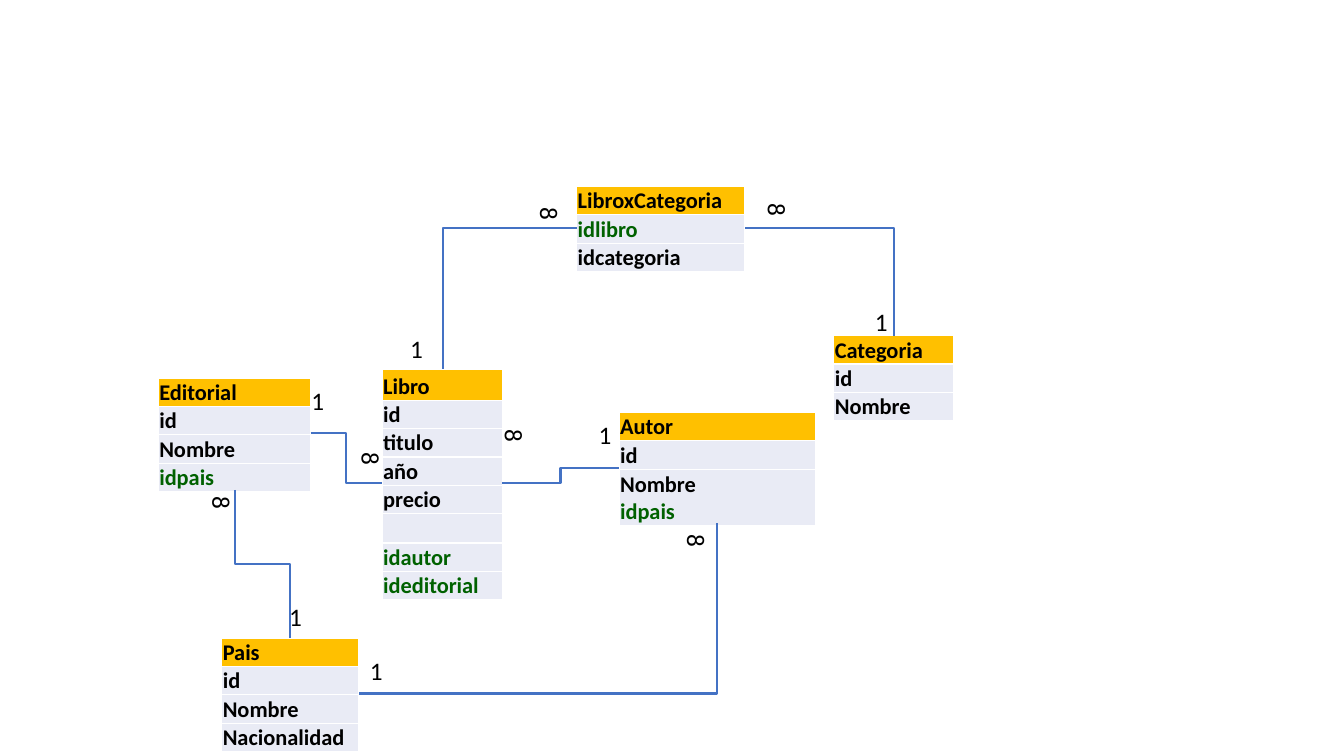
from dataclasses import dataclass

from lxml import etree
from pptx import Presentation
from pptx.dml.color import RGBColor
from pptx.enum.shapes import MSO_CONNECTOR
from pptx.enum.text import MSO_ANCHOR, MSO_AUTO_SIZE
from pptx.oxml.ns import qn
from pptx.util import Pt

ELBOW = MSO_CONNECTOR.ELBOW
BOTTOM = MSO_ANCHOR.BOTTOM
GROW = MSO_AUTO_SIZE.SHAPE_TO_FIT_TEXT
EMU_PER_PX = 9144  # 100 px to the inch
ROW_HEIGHT = 28
CELL_FORMAT = {"margin_left": 1, "margin_right": 1, "margin_top": 1, "margin_bottom": 0}


@dataclass(frozen=True)
class Theme:
    font: str = "Calibri"
    field_size: int = 16
    mark_size: int = 18
    line_width: float = 1.5
    border_width: int = 1
    text: str = "000000"
    foreign_key: str = "006100"
    header: str = "FFC000"
    field: str = "E9EBF5"
    border: str = "FFFFFF"
    line: str = "4472C4"


@dataclass(frozen=True)
class Entity:
    left: int
    top: int
    width: int
    rows: tuple[str, ...]
    header_height: int = ROW_HEIGHT


@dataclass(frozen=True)
class Relation:
    start: tuple[int, int]
    end: tuple[int, int]
    turn: int = 0
    bends: int = 2


@dataclass(frozen=True)
class Mark:
    left: int
    top: int
    text: str
    width: int = 47


THEME = Theme()
FOREIGN_KEYS = {"idautor", "ideditorial", "idpais", "idlibro"}

ENTITIES = [
    Entity(379, 366, 119, ("Libro", "id", "titulo", "año", "precio", "",
                           "idautor", "ideditorial"), 31),
    Entity(157, 375, 151, ("Editorial", "id", "Nombre", "idpais")),
    Entity(614, 409, 195, ("Autor", "id", "Nombre\nidpais")),
    Entity(220, 633, 136, ("Pais", "id", "Nombre", "Nacionalidad")),
    Entity(827, 333, 119, ("Categoria", "id", "Nombre")),
    Entity(572, 185, 167, ("LibroxCategoria", "idlibro", "idcategoria")),
]

RELATIONS = [
    Relation((308, 430), (379, 479)),
    Relation((498, 479), (614, 464)),
    Relation((233, 486), (288, 633), turn=270),
    Relation((711, 519), (356, 688), turn=90, bends=1),
    Relation((439, 366), (572, 226), turn=90, bends=1),
    Relation((887, 333), (739, 226), turn=270, bends=1),
]

# An 8 is laid on its side to read as "many"
MARKS = [
    Mark(522, 200, "8"), Mark(487, 420, "8"), Mark(345, 443, "8"),
    Mark(197, 486, "8"), Mark(668, 524, "8"), Mark(748, 196, "8"),
    Mark(584, 411, "1", 40), Mark(299, 377, "1"), Mark(277, 592, "1"),
    Mark(357, 645, "1", 40), Mark(397, 326, "1"), Mark(858, 299, "1"),
]


def px(length: float) -> int:
    return round(length * EMU_PER_PX)


def rgb(value: str) -> RGBColor:
    return RGBColor.from_string(value)


def write(paragraph, text: str, size: int, color: str, bold: bool = False) -> None:
    run = paragraph.add_run()
    run.text = text
    for name, value in {"name": THEME.font, "size": Pt(size), "bold": bold}.items():
        setattr(run.font, name, value)
    run.font.color.rgb = rgb(color)


def add_borders(cell) -> None:
    properties = cell._tc.get_or_add_tcPr()
    for side in ("lnL", "lnR", "lnT", "lnB"):
        line = etree.SubElement(properties, qn(f"a:{side}"), w=str(Pt(THEME.border_width)))
        fill = etree.SubElement(line, qn("a:solidFill"))
        etree.SubElement(fill, qn("a:srgbClr"), val=THEME.border)


def draw_entity(slide, entity: Entity) -> None:
    heights = [entity.header_height]
    heights += [ROW_HEIGHT * len(row.split("\n")) for row in entity.rows[1:]]
    table = slide.shapes.add_table(len(heights), 1, px(entity.left), px(entity.top),
                                   px(entity.width), px(sum(heights))).table
    table.first_row = table.horz_banding = False
    for index, (text, height) in enumerate(zip(entity.rows, heights)):
        table.rows[index].height = px(height)
        cell = table.cell(index, 0)
        for name, value in CELL_FORMAT.items():
            setattr(cell, name, px(value))
        cell.vertical_anchor = BOTTOM
        add_borders(cell)
        cell.fill.solid()
        cell.fill.fore_color.rgb = rgb(THEME.field if index else THEME.header)
        frame = cell.text_frame
        for number, field in enumerate(text.split("\n")):
            paragraph = frame.add_paragraph() if number else frame.paragraphs[0]
            color = THEME.foreign_key if field in FOREIGN_KEYS else THEME.text
            write(paragraph, field, THEME.field_size, color, bold=True)


def draw_relation(slide, relation: Relation) -> None:
    (x1, y1), (x2, y2) = relation.start, relation.end
    dx, dy = x2 - x1, y2 - y1
    # Turn the span back about its centre, then rotate the connector
    across, down = {0: (dx, dy), 90: (dy, -dx), 270: (-dy, dx)}[relation.turn]
    middle_x, middle_y = (x1 + x2) / 2, (y1 + y2) / 2
    connector = slide.shapes.add_connector(
        ELBOW, px(middle_x - across / 2), px(middle_y - down / 2),
        px(middle_x + across / 2), px(middle_y + down / 2))
    connector.line.color.rgb = rgb(THEME.line)
    connector.line.width = Pt(THEME.line_width)
    properties = connector._element.spPr
    etree.SubElement(properties, qn("a:effectLst"))
    properties.find(qn("a:prstGeom")).set("prst", f"bentConnector{relation.bends + 1}")
    if relation.turn:
        properties.find(qn("a:xfrm")).set("rot", str(relation.turn * 60000))


def draw_mark(slide, mark: Mark) -> None:
    box = slide.shapes.add_textbox(px(mark.left), px(mark.top), px(mark.width), px(40))
    box.rotation = 90 if mark.text == "8" else 0
    frame = box.text_frame
    for name, value in {"word_wrap": True, "auto_size": GROW}.items():
        setattr(frame, name, value)
    write(frame.paragraphs[0], mark.text, THEME.mark_size, THEME.text)


def main() -> None:
    presentation = Presentation()
    presentation.slide_width, presentation.slide_height = px(1333), px(750)
    slide = presentation.slides.add_slide(presentation.slide_layouts[6])
    # Tables, then the lines between them, then the cardinalities
    for entity in ENTITIES:
        draw_entity(slide, entity)
    for relation in RELATIONS:
        draw_relation(slide, relation)
    for mark in MARKS:
        draw_mark(slide, mark)
    presentation.save("out.pptx")


if __name__ == "__main__":
    main()
